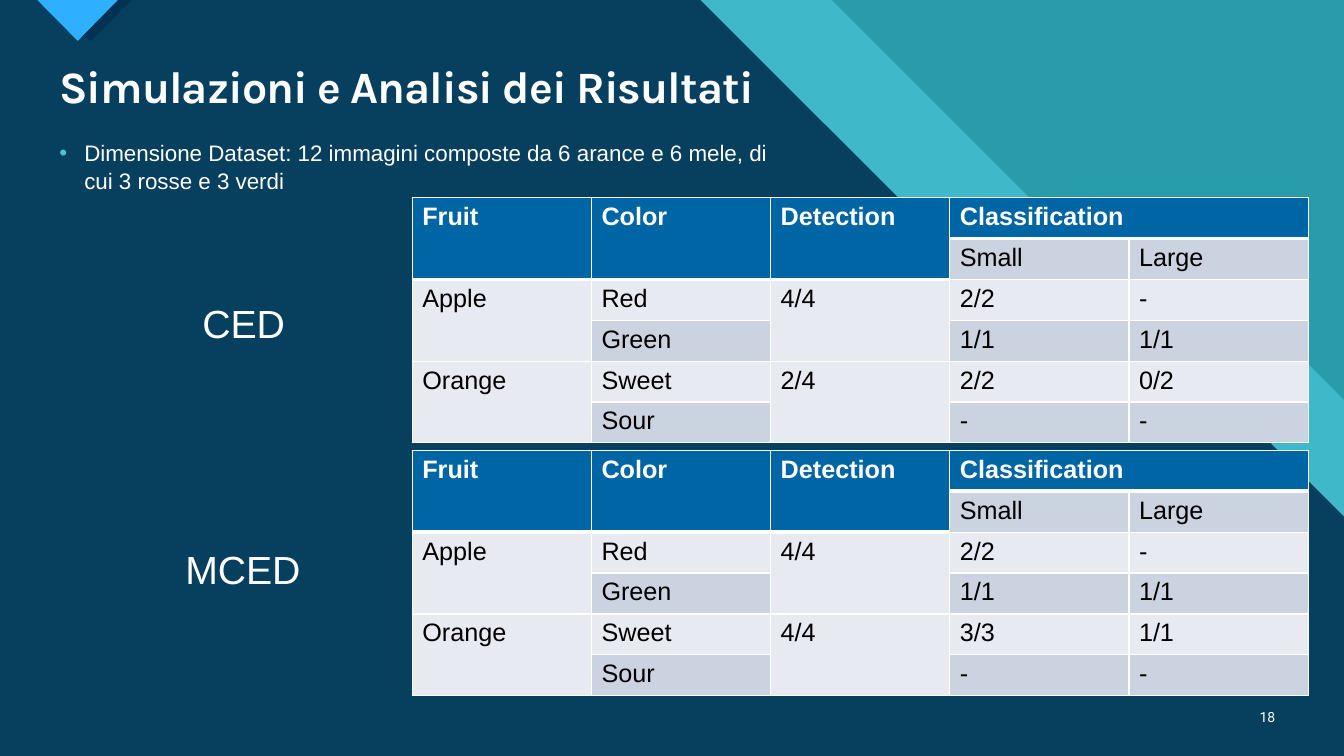
from lxml import etree
from pptx import Presentation
from pptx import util as u
from pptx.dml.color import RGBColor
from pptx.enum import text as t
from pptx.oxml import parse_xml
from pptx.oxml.ns import nsdecls, qn

WHITE, BLACK, NAVY, TEAL = "FFFFFF", "000000", "06405E", "299CAB"
HEADER, LIGHT_ROW, DARK_ROW = "0065A4", "E7EAF0", "CCD3E0"


def color(value):
    return RGBColor.from_string(value)


def write(frame, words, size, name="Arial", ink=WHITE, bold=False, **layout):
    frame.text = words
    paragraph = frame.paragraphs[0]
    for key, value in layout.items():
        setattr(paragraph, key, value)
    font = paragraph.runs[0].font
    for key, value in {"size": u.Pt(size), "name": name, "bold": bold}.items():
        setattr(font, key, value)
    font.color.rgb = color(ink)
    return paragraph


presentation = Presentation()
presentation.slide_width, presentation.slide_height = u.Cm(33.87), u.Cm(19.05)
slide = presentation.slides.add_slide(presentation.slide_layouts[1])

# Background: diagonal bands and the corner arrow, behind the placeholders
slide.background.fill.solid()
slide.background.fill.fore_color.rgb = color(TEAL)
backdrop = [
    ("3FB9C9", [(0, 0), (20.96, 0), (28.5, 7.54), (31.34, 7.54),
                (33.87, 10.08), (33.87, 19.05), (0, 19.05)]),
    (NAVY, [(0, 0), (17.65, 0), (25.2, 7.54), (28.4, 7.54),
            (33.87, 13.02), (33.87, 19.05), (0, 19.05)]),
    ("003352", [(1.22, 0), (2.29, 1.04), (3.33, 0)]),
    ("2FAFFF", [(0.94, 0), (1.96, 1.03), (2.97, 0)]),
]
for layer, (fill, points) in enumerate(backdrop):
    corners = [(u.Cm(x), u.Cm(y)) for x, y in points]
    builder = slide.shapes.build_freeform(*corners[0])
    builder.add_line_segments(corners[1:])
    shape = builder.convert_to_shape()
    shape.shadow.inherit = False
    shape.fill.solid()
    shape.fill.fore_color.rgb = color(fill)
    shape.line.fill.background()
    slide.shapes.element.insert(2 + layer, shape.element)

# Title and body placeholders
title, body = slide.shapes.title, slide.placeholders[1]
boxes = [(title, (1.24, 1.5, 31.14, 1.5), t.MSO_ANCHOR.MIDDLE),
         (body, (1.24, 3.35, 18.67, 11.38), t.MSO_ANCHOR.TOP)]
for shape, box, anchor in boxes:
    shape.left, shape.top, shape.width, shape.height = map(u.Cm, box)
    frame = shape.text_frame
    for key, value in {"word_wrap": True, "auto_size": t.MSO_AUTO_SIZE.NONE,
                       "vertical_anchor": anchor}.items():
        setattr(frame, key, value)

heading = write(title.text_frame, "Simulazioni e Analisi dei Risultati", 32, "Karla",
                bold=True, alignment=t.PP_ALIGN.LEFT, line_spacing=0.9)
heading.runs[0].font._element.set("spc", "-70")

item = write(body.text_frame,
             "Dimensione Dataset: 12 immagini composte da 6 arance e 6 mele, di cui 3 rosse e 3 verdi",
             16, space_before=u.Pt(0), space_after=u.Pt(4), line_spacing=1.05)
properties = item._p.get_or_add_pPr()
properties.set("marL", str(u.Cm(0.63)))
properties.set("indent", str(u.Cm(-0.63)))
bullet_color = etree.SubElement(properties, qn("a:buClr"))
etree.SubElement(bullet_color, qn("a:srgbClr"), val="47C3D3")
etree.SubElement(properties, qn("a:buFont"), typeface="Arial")
etree.SubElement(properties, qn("a:buChar"), char="•")

# Result tables: detection and classification scores per method
ROWS, COLUMNS = 6, 5
MERGES = [(0, 0, 1, 0), (0, 1, 1, 1), (0, 2, 1, 2), (0, 3, 0, 4),
          (2, 0, 3, 0), (2, 2, 3, 2), (4, 0, 5, 0), (4, 2, 5, 2)]
results = [
    (4.98, "2/4", ["2/2", "0/2"]),
    (11.35, "4/4", ["3/3", "1/1"]),
]
for top, orange_detection, sweet_scores in results:
    cells = [
        ["Fruit", "Color", "Detection", "Classification", ""],
        ["", "", "", "Small", "Large"],
        ["Apple", "Red", "4/4", "2/2", "-"],
        ["", "Green", "", "1/1", "1/1"],
        ["Orange", "Sweet", orange_detection, *sweet_scores],
        ["", "Sour", "", "-", "-"],
    ]
    table = slide.shapes.add_table(ROWS, COLUMNS, u.Cm(10.39), u.Cm(top),
                                   u.Cm(22.58), u.Cm(6.18)).table
    table.first_row = table.horz_banding = False
    for first_row, first_column, last_row, last_column in MERGES:
        table.cell(first_row, first_column).merge(table.cell(last_row, last_column))
    for row in range(ROWS):
        for column in range(COLUMNS):
            cell = table.cell(row, column)
            is_header = row == 0 or (row == 1 and column < 3)
            below_header = row == (2 if column < 3 else 1)
            borders = {"lnL": 1, "lnR": 1, "lnT": 3 if below_header else 1,
                       "lnB": 3 if is_header else 1}
            for tag, width in borders.items():
                cell._tc.get_or_add_tcPr().append(parse_xml(
                    f'<a:{tag} {nsdecls("a")} w="{u.Pt(width)}"><a:solidFill>'
                    f'<a:srgbClr val="{WHITE}"/></a:solidFill></a:{tag}>'))
            cell.fill.solid()
            cell.fill.fore_color.rgb = color(
                HEADER if is_header else DARK_ROW if row % 2 else LIGHT_ROW)
            if cells[row][column]:
                write(cell.text_frame, cells[row][column], 18,
                      ink=WHITE if is_header else BLACK, bold=is_header)

# Method labels and slide number
LEFT, RIGHT = t.PP_ALIGN.LEFT, t.PP_ALIGN.RIGHT
TOP, MIDDLE = t.MSO_ANCHOR.TOP, t.MSO_ANCHOR.MIDDLE
labels = [
    ("CED", (4.85, 7.42, 2.62, 1.45), 28, "Arial", LEFT, TOP, False),
    ("MCED", (4.42, 13.61, 3.45, 1.45), 28, "Arial", LEFT, TOP, False),
    ("18", (31.27, 17.55, 1.12, 1.02), 10, "Roboto", RIGHT, MIDDLE, True),
]
for words, box, size, name, alignment, anchor, wrap in labels:
    frame = slide.shapes.add_textbox(*map(u.Cm, box)).text_frame
    frame.word_wrap = wrap
    frame.vertical_anchor = anchor
    write(frame, words, size, name, alignment=alignment)

presentation.save("out.pptx")
